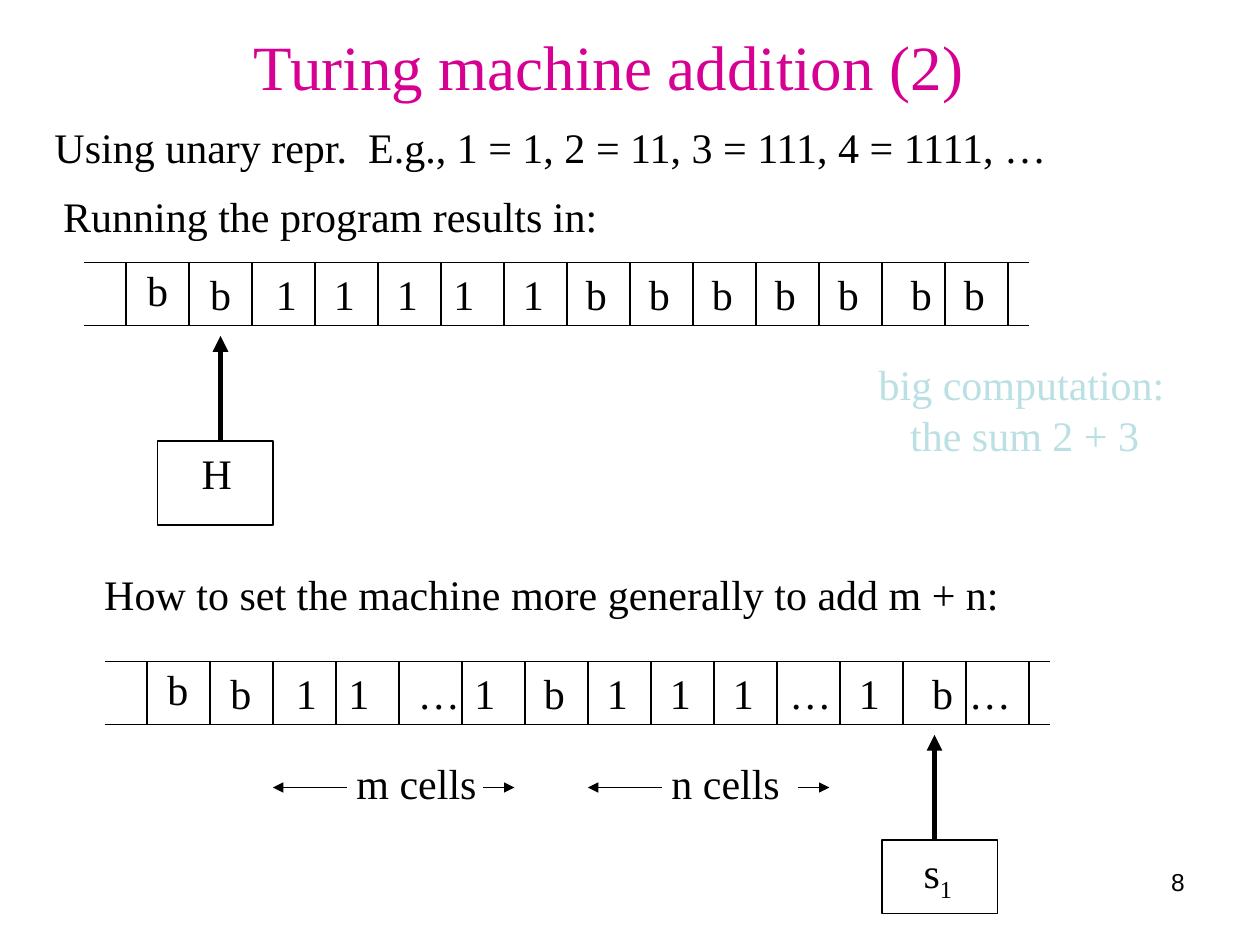
from dataclasses import dataclass

from lxml.etree import SubElement
from pptx import Presentation
from pptx.dml.color import RGBColor
from pptx.enum.shapes import MSO_CONNECTOR, MSO_SHAPE
from pptx.enum.text import MSO_ANCHOR, MSO_AUTO_SIZE, PP_ALIGN
from pptx.oxml.ns import qn
from pptx.util import Pt

BLACK = RGBColor(0x00, 0x00, 0x00)
MAGENTA = RGBColor(0xD6, 0x00, 0x93)
PALE_TEAL = RGBColor(0xBB, 0xE0, 0xE3)

CELL = 36
TAPE_WIDTH = 540
TEXT_HEIGHT = 36


@dataclass
class Painter:
    slide: object
    font: str = "Times New Roman"
    size: float = 24
    thin: float = 0.75
    thick: float = 3

    def run(self, p, text, color=BLACK, size=None, font=None, subscript=False):
        r = p.add_run()
        r.text = text
        r.font.name = font or self.font
        r.font.size = Pt(size or self.size)
        r.font.color.rgb = color
        if subscript:
            r.font._element.set("baseline", "-25000")

    def text(self, x, y, w, h, lines, color=BLACK, size=None, indent=0):
        """Add unwrapped text; lines after the first are indented."""
        tb = self.slide.shapes.add_textbox(Pt(x), Pt(y), Pt(w), Pt(h))
        tf = tb.text_frame
        tf.word_wrap = False
        tf.auto_size = MSO_AUTO_SIZE.SHAPE_TO_FIT_TEXT
        for i, line in enumerate(lines):
            p = tf.add_paragraph() if i else tf.paragraphs[0]
            if i and indent:
                p._p.get_or_add_pPr().set("marL", str(Pt(indent)))
            self.run(p, line, color, size)

    def line(self, x1, y1, x2, y2, width=None, arrow=False):
        c = self.slide.shapes.add_connector(
            MSO_CONNECTOR.STRAIGHT, Pt(x1), Pt(y1), Pt(x2), Pt(y2))
        c.line.color.rgb = BLACK
        c.line.width = Pt(width or self.thin)
        if arrow:
            SubElement(c.line._get_or_add_ln(), qn("a:tailEnd"), type="triangle")
        SubElement(c._element.spPr, qn("a:effectLst"))

    def tape(self, x, y, symbols, nudges):
        """Draw a tape; nudges shifts single symbols sideways by cell index."""
        for edge in (y, y + CELL):
            self.line(x, edge, x + TAPE_WIDTH, edge)
        first = x + 24
        for i in range(len(symbols) + 1):
            self.line(first + i * CELL, y, first + i * CELL, y + CELL)
        for i, symbol in enumerate(symbols):
            left = first + i * CELL + nudges.get(i, 3.7)
            top = y - 2.5 if i == 0 else y
            self.text(left, top, 38 if symbol == "…" else 26, TEXT_HEIGHT, [symbol])

    def head(self, x, y, h, arrow_x, inset, label, subscript=""):
        """Draw a machine head box with its arrow up to the tape."""
        self.line(arrow_x, y, arrow_x, y - 60, self.thick, arrow=True)
        sp = self.slide.shapes.add_shape(
            MSO_SHAPE.RECTANGLE, Pt(x), Pt(y), Pt(66), Pt(h))
        sp.shadow.inherit = False
        sp.fill.background()
        sp.line.color.rgb = BLACK
        sp.line.width = Pt(self.thin)
        tf = sp.text_frame
        tf.word_wrap = True
        tf.vertical_anchor = MSO_ANCHOR.TOP
        tf.margin_left, tf.margin_right = Pt(inset), Pt(0)
        p = tf.paragraphs[0]
        p.alignment = PP_ALIGN.LEFT
        self.run(p, label)
        if subscript:
            self.run(p, subscript, subscript=True)

    def span(self, x, y, label, label_width):
        """Label a group of cells, with an arrow to each side."""
        self.line(x + 42, y, x, y, arrow=True)
        self.line(x + 120, y, x + 138, y, arrow=True)
        self.text(x + 40.6, y - 20.7, label_width, TEXT_HEIGHT, [label])

    def page_number(self, number):
        tb = self.slide.shapes.add_textbox(Pt(516), Pt(492), Pt(168), Pt(37.5))
        tb.text_frame.word_wrap = True
        p = tb.text_frame.paragraphs[0]
        p.alignment = PP_ALIGN.RIGHT
        self.run(p, number, size=14, font="Arial")


def main():
    prs = Presentation()
    prs.slide_width, prs.slide_height = Pt(720), Pt(540)
    s = Painter(prs.slides.add_slide(prs.slide_layouts[6]))

    s.text(138, 12, 423, 50.5, ["Turing machine addition (2)"], MAGENTA, 36)
    s.text(24, 66, 588, TEXT_HEIGHT,
           ["Using unary repr.  E.g., 1 = 1, 2 = 11, 3 = 111, 4 = 1111, …"])
    s.text(29, 105.5, 322, TEXT_HEIGHT, ["Running the program results in:"])

    s.tape(48, 150, "bb11111bbbbbbb", {0: 5, 1: 5, 2: 6.5, 5: 0, 12: 9.4})
    s.head(90, 252, 48, 126, 25.2, "H")
    s.text(495, 201.5, 189.5, 65, ["big computation:", "the sum 2 + 3"],
           PALE_TEAL, indent=18)

    s.text(52.5, 321.3, 532, TEXT_HEIGHT,
           ["How to set the machine more generally to add m + n:"])
    s.tape(60, 378, "bb11…1b111…1b…",
           {0: 4.6, 1: 4.6, 2: 6, 3: 0, 5: 0, 10: 0, 12: 9.6, 13: -5.5})
    s.span(156, 450, "m cells", 85)
    s.span(336, 450, "n cells", 78)
    s.head(504, 480, 42, 534, 23.8, "s", "1")
    s.page_number("8")

    prs.save("out.pptx")


if __name__ == "__main__":
    main()
